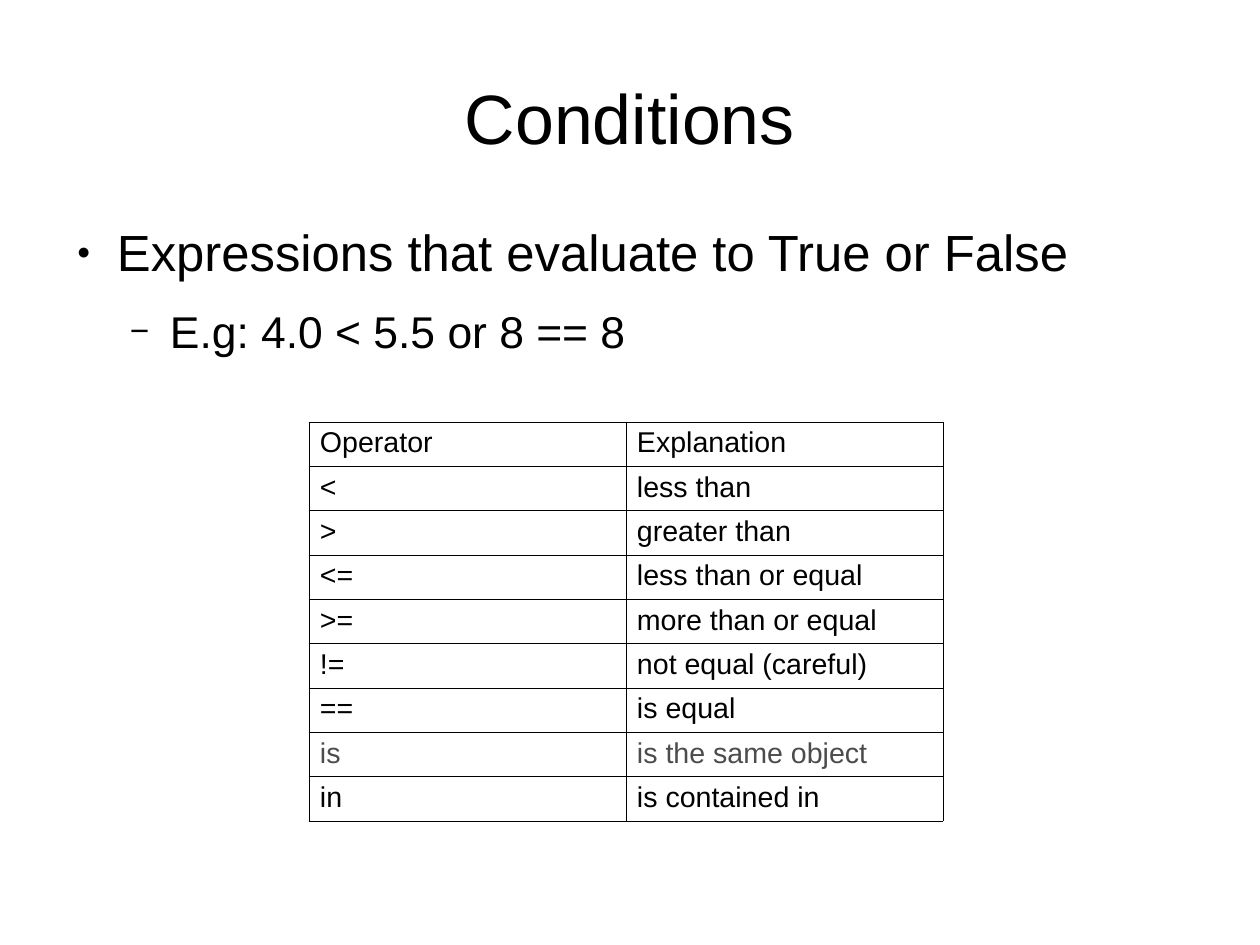
"""Build the slide on conditions and comparison operators."""
from lxml import etree
from pptx import Presentation, util as u
from pptx.dml.color import RGBColor
from pptx.enum import text as t
from pptx.oxml import ns

SIZE = (1260, 945)
BLACK, GREY = "000000", "4C4C4C"
TITLE = "Conditions"
TITLE_BOX = (63, 38, 1134, 158)
BODY_BOX = (63, 221, 1134, 548)
POINTS = [
    dict(words="Expressions that evaluate to True or False", size=32,
         level=0, left=54, after=14.2, mark="●", scale=45),
    dict(words="E.g: 4.0 < 5.5 or 8 == 8", size=28,
         level=1, left=107, after=11.3, mark="−", scale=75),
]
HANG = 40
TABLE_BOX = (309, 422, 634, 391)
ROWS = [
    ("Operator", "Explanation"),
    ("<", "less than"),
    (">", "greater than"),
    ("<=", "less than or equal"),
    (">=", "more than or equal"),
    ("!=", "not equal (careful)"),
    ("==", "is equal"),
    ("is", "is the same object"),
    ("in", "is contained in"),
]
FADED = "is"
BORDER = 0.57
MARGINS = dict(margin_left=11, margin_right=11, margin_top=5, margin_bottom=5)


def px(n):
    return u.Emu(round(n * 8000))


def color(code):
    return RGBColor.from_string(code)


def assign(item, values):
    for name, value in values.items():
        setattr(item, name, value)


def add(parent, tag, **attrs):
    node = etree.SubElement(parent, ns.qn(tag))
    for name, value in attrs.items():
        node.set(name, str(value))
    return node


def write(para, words, size, code=BLACK):
    run = para.add_run()
    run.text = words
    assign(run.font, dict(name="Arial", size=u.Pt(size)))
    run.font.color.rgb = color(code)


def add_box(slide, box, anchor):
    frame = slide.shapes.add_textbox(*map(px, box)).text_frame
    assign(frame, dict(word_wrap=True, vertical_anchor=anchor,
                       margin_left=0, margin_right=0,
                       margin_top=0, margin_bottom=0))
    return frame


def add_bullet(para, point):
    props = para._p.get_or_add_pPr()
    props.set("marL", str(px(point["left"])))
    props.set("indent", str(px(-HANG)))
    add(add(props, "a:buClr"), "a:srgbClr", val=BLACK)
    add(props, "a:buSzPct", val=point["scale"] * 1000)
    add(props, "a:buFont", typeface="Arial")
    add(props, "a:buChar", char=point["mark"])


def add_border(cell):
    props = cell._tc.get_or_add_tcPr()
    for side in "LRTB":
        line = add(props, f"a:ln{side}", w=u.Pt(BORDER))
        add(add(line, "a:solidFill"), "a:srgbClr", val=BLACK)


def add_grid(slide):
    frame = slide.shapes.add_table(len(ROWS), 2, *map(px, TABLE_BOX))
    grid = frame.table
    assign(grid, dict(first_row=False, horz_banding=False))
    for r, row in enumerate(ROWS):
        grid.rows[r].height = px(TABLE_BOX[3] / len(ROWS))
        code = GREY if row[0] == FADED else BLACK
        for c, words in enumerate(row):
            cell = grid.cell(r, c)
            add_border(cell)
            cell.fill.background()
            assign(cell, {name: px(n) for name, n in MARGINS.items()})
            write(cell.text_frame.paragraphs[0], words, 18, code)


def main():
    deck = Presentation()
    assign(deck, dict(slide_width=px(SIZE[0]), slide_height=px(SIZE[1])))
    slide = deck.slides.add_slide(deck.slide_layouts[6])

    head = add_box(slide, TITLE_BOX, t.MSO_ANCHOR.MIDDLE).paragraphs[0]
    head.alignment = t.PP_ALIGN.CENTER
    write(head, TITLE, 44)

    body = add_box(slide, BODY_BOX, t.MSO_ANCHOR.TOP)
    for i, point in enumerate(POINTS):
        para = body.add_paragraph() if i else body.paragraphs[0]
        add_bullet(para, point)
        assign(para, dict(level=point["level"],
                          space_after=u.Pt(point["after"])))
        write(para, point["words"], point["size"])

    add_grid(slide)
    deck.save("out.pptx")


if __name__ == "__main__":
    main()
